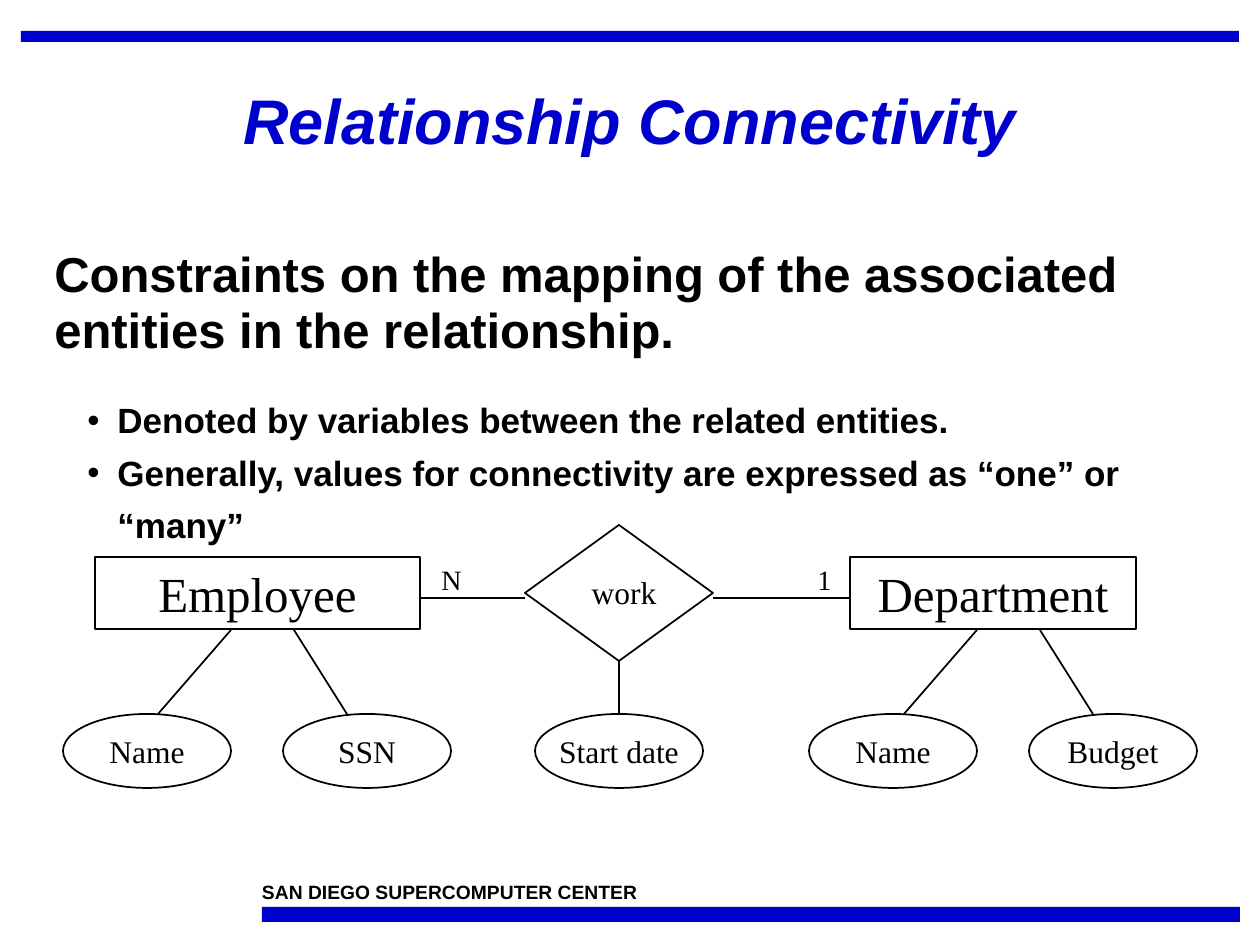
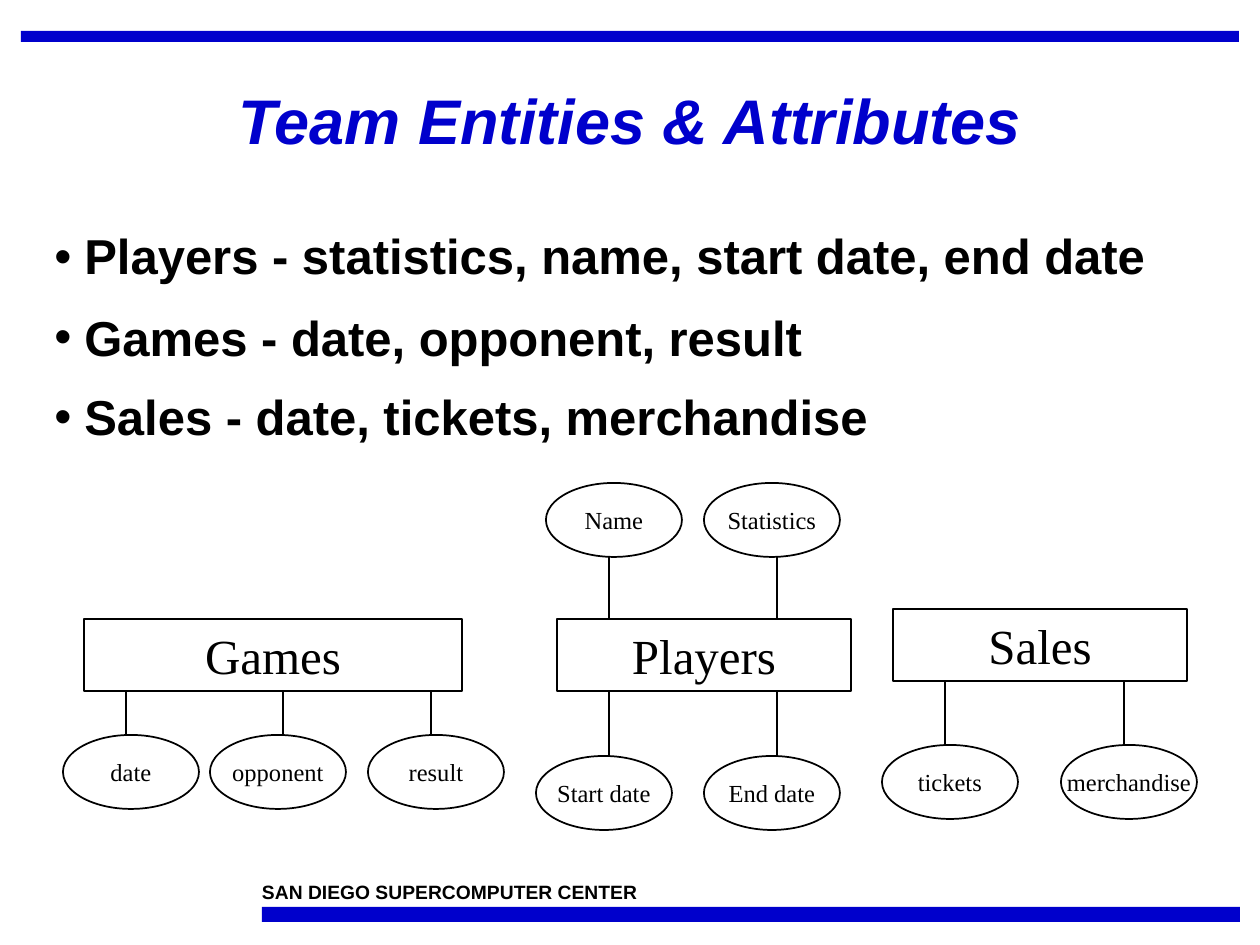
"""Build two slides on entity-relationship diagrams."""
import pptx
import pptx.dml.color
import pptx.enum.shapes
import pptx.enum.text
import pptx.oxml
import pptx.oxml.ns
import pptx.util

PX = 7257
BLUE = pptx.dml.color.RGBColor(0x00, 0x00, 0xCC)
BLACK = pptx.dml.color.RGBColor(0x00, 0x00, 0x00)
SANS = "Arial"
SERIF = "Times New Roman"
RECTANGLE = pptx.enum.shapes.MSO_SHAPE.RECTANGLE
ELLIPSE = pptx.enum.shapes.MSO_SHAPE.OVAL
DIAMOND = pptx.enum.shapes.MSO_SHAPE.DIAMOND
CENTER = pptx.enum.text.PP_ALIGN.CENTER
MIDDLE = pptx.enum.text.MSO_ANCHOR.MIDDLE
TOP = pptx.enum.text.MSO_ANCHOR.TOP


def add_box(page, kind, place, text="", size=18, font=SERIF, anchor=MIDDLE, wrap=False):
    """Add an outlined shape, or a plain text box when kind is None."""
    sides = [side * PX for side in place]
    if kind is None:
        box = page.shapes.add_textbox(*sides)
    else:
        box = page.shapes.add_shape(kind, *sides)
        box.shadow.inherit = False
        box.fill.background()
        box.line.color.rgb = BLACK
        box.line.width = pptx.util.Pt(1)
    frame = box.text_frame
    frame.word_wrap = wrap
    frame.vertical_anchor = anchor
    frame.text = text
    for para in frame.paragraphs:
        if font == SERIF:
            para.alignment = CENTER
        for span in para.runs:
            span.font.size = pptx.util.Pt(size)
            span.font.name = font
            span.font.bold = font == SANS
            span.font.color.rgb = BLACK
    return box


def add_link(page, *ends):
    """Add a thin black line between two points."""
    link = page.shapes.add_connector(
        pptx.enum.shapes.MSO_CONNECTOR.STRAIGHT, *[end * PX for end in ends])
    link.line.color.rgb = BLACK
    link.line.width = pptx.util.Pt(1)
    properties = link._element.spPr
    properties.append(pptx.oxml.parse_xml(
        f'<a:effectLst {pptx.oxml.ns.nsdecls("a")}/>'))
    return link


deck = pptx.Presentation()
deck.slide_width = 1260 * PX
deck.slide_height = 945 * PX

CONTENT = [
    ("Relationship Connectivity", 242, 315, [
        ("Constraints on the mapping of the associated entities in the relationship.",
         28, 0.95, 0, None),
        ("Denoted by variables between the related entities.", 20, 0.95, 24, 63),
        ("Generally, values for connectivity are expressed as “one” or “many”",
         20, pptx.util.Pt(29.5), 0, 63),
    ]),
    ("Team Entities & Attributes", 224, 228, [
        ("Players - statistics, name, start date, end date", 28, 0.95, 0, 30),
        ("Games - date, opponent, result", 28, 1.15, 7, 30),
        ("Sales - date, tickets, merchandise", 28, 1.15, 7, 30),
    ]),
]

for title, body_top, body_height, lines in CONTENT:
    page = deck.slides.add_slide(deck.slide_layouts[6])
    for place in [(21, 31, 1218, 11), (262, 907, 978, 15)]:
        band = add_box(page, RECTANGLE, place)
        band.fill.solid()
        band.fill.fore_color.rgb = BLUE
        band.line.fill.background()

    footer = add_box(page, None, (262, 880, 473, 23),
                     "SAN DIEGO SUPERCOMPUTER CENTER", 11, SANS, TOP, True)
    frame = footer.text_frame
    frame.margin_left = frame.margin_right = frame.margin_top = frame.margin_bottom = 0

    heading = add_box(page, None, (21, 52, 1218, 144), title, 36, SANS, wrap=True)
    para = heading.text_frame.paragraphs[0]
    para.alignment = CENTER
    para.line_spacing = 0.9
    para.runs[0].font.italic = True
    para.runs[0].font.color.rgb = BLUE

    words = "\n".join(line[0] for line in lines)
    body = add_box(page, None, (42, body_top, 1187, body_height), words, 28, SANS, TOP, True)
    for para, (text, size, spacing, before, margin) in zip(body.text_frame.paragraphs, lines):
        para.line_spacing = spacing
        para.space_before = pptx.util.Pt(before)
        para.runs[0].font.size = pptx.util.Pt(size)
        if margin:
            properties = para._p.get_or_add_pPr()
            properties.set("marL", str(margin * PX))
            properties.set("indent", str(-30 * PX))
            properties.append(pptx.oxml.parse_xml(
                f'<a:buFont {pptx.oxml.ns.nsdecls("a")} typeface="{SANS}"/>'))
            properties.append(pptx.oxml.parse_xml(
                f'<a:buChar {pptx.oxml.ns.nsdecls("a")} char="•"/>'))

connectivity, team = deck.slides

diamond = add_box(connectivity, DIAMOND, (525, 525, 188, 136))
add_box(connectivity, None, (564, 567, 120, 50), "work", 18, anchor=TOP)
start_date = add_box(connectivity, ELLIPSE, (535, 714, 168, 74), "Start date")
link = add_link(connectivity, 619, 661, 619, 714)
link.begin_connect(diamond, 2)
link.end_connect(start_date, 0)

RELATED = [
    ("Employee", 95, 325, 0, ["Name", "SSN"]),
    ("Department", 850, 286, 746, ["Name", "Budget"]),
]
for entity, left, width, shift, attributes in RELATED:
    add_box(connectivity, RECTANGLE, (left, 557, width, 72), entity, 28)
    for attribute, oval_left, start, end in zip(attributes, (63, 283), (231, 294), (158, 347)):
        add_box(connectivity, ELLIPSE, (oval_left + shift, 714, 168, 74), attribute)
        add_link(connectivity, start + shift, 630, end + shift, 714)

for start, end in [(420, 525), (713, 850)]:
    add_link(connectivity, start, 598, end, 598)
for label, left, width in [("N", 429, 45), ("1", 798, 53)]:
    add_box(connectivity, None, (left, 556, width, 47), label, 16, anchor=TOP)

TEAM = [
    ("Games", 84, 619, 378, [
        ("date", 63, 735, 126), ("opponent", 210, 735, 283), ("result", 368, 735, 431)]),
    ("Players", 557, 619, 294, [
        ("Name", 546, 483, 609), ("Statistics", 704, 483, 777),
        ("Start date", 536, 756, 609), ("End date", 704, 756, 777)]),
    ("Sales", 893, 609, 294, [
        ("tickets", 882, 745, 945), ("merchandise", 1061, 745, 1124)]),
]
for entity, left, top, width, attributes in TEAM:
    add_box(team, RECTANGLE, (left, top, width, 72), entity, 28)
    for attribute, oval_left, oval_top, link_x in attributes:
        add_box(team, ELLIPSE, (oval_left, oval_top, 136, 74), attribute, 14)
        if oval_top < top:
            add_link(team, link_x, oval_top + 74, link_x, top)
        else:
            add_link(team, link_x, top + 73, link_x, oval_top)

deck.save("out.pptx")
